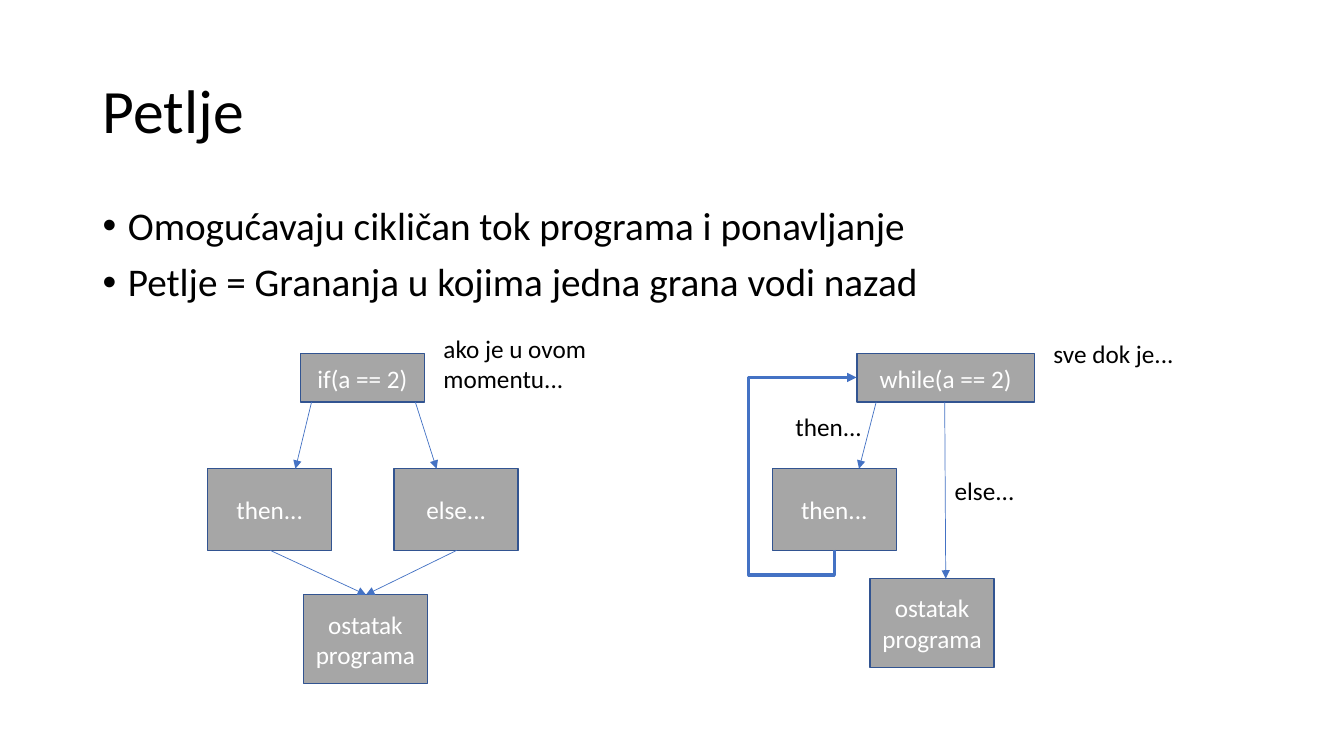
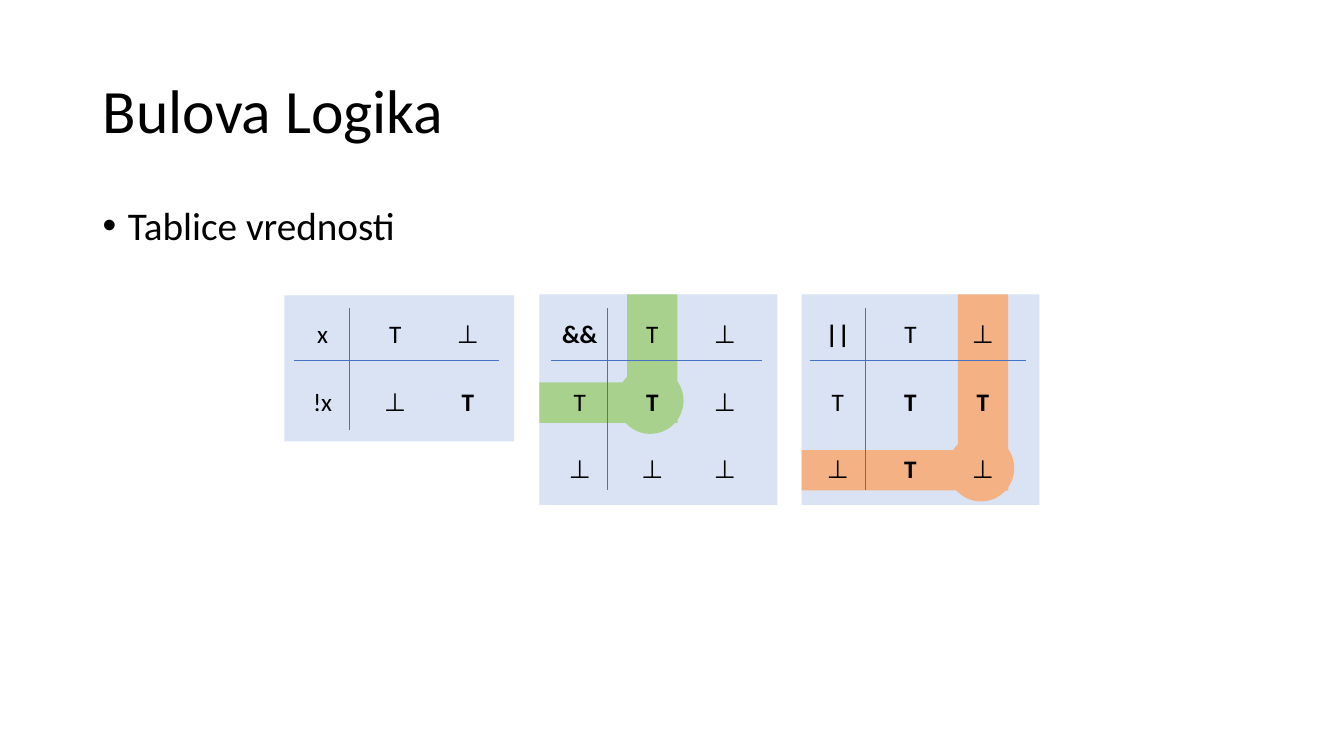
from lxml import etree
from pptx import Presentation
from pptx.dml.color import RGBColor
from pptx.enum.shapes import MSO_CONNECTOR, MSO_SHAPE
from pptx.enum.text import MSO_ANCHOR, MSO_AUTO_SIZE, PP_ALIGN
from pptx.oxml.ns import qn
from pptx.util import Inches, Pt

FONT = "Calibri"
BLACK = RGBColor(0x00, 0x00, 0x00)
WHITE = RGBColor(0xFF, 0xFF, 0xFF)
GRAY = RGBColor(0xA6, 0xA6, 0xA6)
NAVY = RGBColor(0x32, 0x54, 0x91)
BLUE = RGBColor(0x44, 0x72, 0xC4)
PALE_BLUE = RGBColor(0xDA, 0xE3, 0xF3)
GREEN = RGBColor(0xA9, 0xD1, 0x8E)
ORANGE = RGBColor(0xF4, 0xB1, 0x83)

# Flowchart box sizes
BOX_W, STEP_H, REST_H = 1.23, 0.81, 0.88
# Truth table grid
COL_W, ROW_H, GRID_TOP = 0.72, 0.67, 2.99
NO_STYLE = "{2D5ABB26-0587-4C30-8999-92F81FD0307C}"


class Deck:
    """Shared style and the slide being built."""

    def __init__(self):
        self.prs = Presentation()
        self.prs.slide_width, self.prs.slide_height = Inches(13.33), Inches(7.5)
        self.slide = None

    def new_slide(self, heading, points):
        self.slide = self.prs.slides.add_slide(self.prs.slide_layouts[5])
        title = self.slide.shapes.title
        self.place(title, 0.92, 0.4, 11.5, 1.45)
        frame = title.text_frame
        frame.text = heading
        frame.auto_size = MSO_AUTO_SIZE.NONE
        frame.vertical_anchor = MSO_ANCHOR.MIDDLE
        frame.paragraphs[0].line_spacing = 0.9
        self.style(frame, 44)
        self.bullets(points)

    @staticmethod
    def place(shape, left, top, width, height):
        shape.left, shape.top = Inches(left), Inches(top)
        shape.width, shape.height = Inches(width), Inches(height)

    @staticmethod
    def style(frame, size=18, color=BLACK, align=PP_ALIGN.LEFT, bold=False):
        for paragraph in frame.paragraphs:
            paragraph.alignment = align
            for run in paragraph.runs:
                run.font.name, run.font.size = FONT, Pt(size)
                run.font.bold = bold
                run.font.color.rgb = color

    def label(self, text, left, top, width, height=0.4, size=18):
        box = self.slide.shapes.add_textbox(
            Inches(left), Inches(top), Inches(width), Inches(height))
        frame = box.text_frame
        frame.word_wrap = True
        frame.text = text
        self.style(frame, size)
        return frame

    def bullets(self, points):
        frame = self.label("\n".join(points), 0.92, 2, 11.5, 4.76, 28)
        for paragraph in frame.paragraphs:
            paragraph.line_spacing = 0.9
            paragraph.space_before = Pt(10)
            props = paragraph._p.get_or_add_pPr()
            props.set("marL", str(Inches(0.25)))
            props.set("indent", str(Inches(-0.25)))
            etree.SubElement(props, qn("a:buFont"), typeface="Arial")
            etree.SubElement(props, qn("a:buChar"), char="•")

    def block(self, left, top, width, height, fill, kind=MSO_SHAPE.RECTANGLE):
        shape = self.slide.shapes.add_shape(
            kind, Inches(left), Inches(top), Inches(width), Inches(height))
        shape.shadow.inherit = False
        shape.fill.solid()
        shape.fill.fore_color.rgb = fill
        shape.line.fill.background()
        return shape

    def step(self, text, left, top, width=BOX_W, height=STEP_H):
        box = self.block(left, top, width, height, GRAY)
        box.line.color.rgb = NAVY
        box.line.width = Pt(1)
        frame = box.text_frame
        frame.text = text
        frame.vertical_anchor = MSO_ANCHOR.MIDDLE
        self.style(frame, color=WHITE, align=PP_ALIGN.CENTER)
        return box

    def line(self, start, end, width=0.5, arrow=False, kind=MSO_CONNECTOR.STRAIGHT):
        connector = self.slide.shapes.add_connector(
            kind, *(Inches(value) for value in (*start, *end)))
        connector.line.color.rgb = BLUE
        connector.line.width = Pt(width)
        if arrow:
            etree.SubElement(connector.line._get_or_add_ln(),
                             qn("a:tailEnd"), type="triangle")
        etree.SubElement(connector._element.spPr, qn("a:effectLst"))
        return connector

    def loop_back(self, source, target):
        """Elbow arrow from the bottom of source round to the left of target."""
        connector = self.line((8.28, 5.46), (8.5, 3.75), 2.25, True,
                              MSO_CONNECTOR.ELBOW)
        connector.begin_connect(source, 2)
        connector.end_connect(target, 1)
        self.place(connector, 7.53, 4.49, 1.71, 0.22)
        props = connector._element.spPr
        for name, value in (("rot", "5400000"), ("flipH", "1"), ("flipV", "1")):
            props.find(qn("a:xfrm")).set(name, value)
        geometry = props.find(qn("a:prstGeom"))
        geometry.set("prst", "bentConnector4")
        guides = geometry.find(qn("a:avLst"))
        for name, value in (("adj1", -14600), ("adj2", -385300)):
            etree.SubElement(guides, qn("a:gd"), name=name, fmla=f"val {value}")

    def highlight(self, panel_left, panel_top, grid_left, row, col, color):
        """Mark the row and column that meet in one cell."""
        x = grid_left + (col + 0.5) * COL_W
        y = GRID_TOP + (row + 0.5) * ROW_H
        self.block(x - 0.35, y - 0.35, 0.66, 0.66, color, MSO_SHAPE.OVAL)
        self.block(x - 0.25, panel_top, 0.5, y + 0.2 - panel_top, color)
        self.block(panel_left, y - 0.2, x + 0.25 - panel_left, 0.4, color)

    def truth_table(self, rows, left, bold_cells):
        count = len(rows)
        grid = self.slide.shapes.add_table(
            count, 3, Inches(left), Inches(GRID_TOP),
            Inches(3 * COL_W), Inches(count * ROW_H)).table
        grid.first_row = grid.horz_banding = False
        grid._tbl.tblPr.find(qn("a:tableStyleId")).text = NO_STYLE
        for column in grid.columns:
            column.width = Inches(COL_W)
        for r, values in enumerate(rows):
            grid.rows[r].height = Inches(ROW_H)
            for c, value in enumerate(values):
                cell = grid.cell(r, c)
                cell.text = value
                cell.vertical_anchor = MSO_ANCHOR.MIDDLE
                cell.margin_left = cell.margin_right = 0
                cell.margin_top = cell.margin_bottom = 0
                self.style(cell.text_frame, align=PP_ALIGN.CENTER,
                           bold=(r, c) in bold_cells)
                props = cell._tc.get_or_add_tcPr()
                for side in ("a:lnL", "a:lnR", "a:lnT", "a:lnB"):
                    edge = etree.SubElement(props, qn(side), w="0")
                    etree.SubElement(edge, qn("a:noFill"))
                cell.fill.background()


def build_loops(deck):
    deck.new_slide("Petlje", [
        "Omogućavaju cikličan tok programa i ponavljanje",
        "Petlje = Grananja u kojima jedna grana vodi nazad",
    ])

    # Branching
    deck.step("if(a == 2)", 2.98, 3.51, height=0.48)
    deck.step("then...", 2.06, 4.65)
    deck.step("else...", 3.91, 4.65)
    deck.step("ostatak programa", 3.01, 5.9, height=REST_H)

    # Loop
    condition = deck.step("while(a == 2)", 8.5, 3.51, 1.76, 0.48)
    body = deck.step("then...", 7.66, 4.65)
    deck.step("ostatak programa", 8.63, 5.74, height=REST_H)
    deck.loop_back(body, condition)

    # Flow arrows
    for start, end in [
        ((3.09, 3.99), (2.93, 4.65)),
        ((4.12, 3.99), (4.33, 4.65)),
        ((2.68, 5.46), (3.63, 5.9)),
        ((4.53, 5.46), (3.63, 5.9)),
        ((8.69, 3.99), (8.52, 4.65)),
        ((9.37, 3.99), (9.38, 5.74)),
    ]:
        deck.line(start, end, arrow=True)

    # Remarks
    deck.label("else...", 9.37, 4.67, 1.38)
    deck.label("then...", 7.79, 4.03, 1.38)
    deck.label("ako je u ovom momentu...", 4.3, 3.26, 1.82, 0.71)
    deck.label("sve dok je...", 10.35, 3.31, 1.82)


def build_boolean_logic(deck):
    deck.new_slide("Bulova Logika", ["Tablice vrednosti"])

    # Rows, bold cells, panel, grid left, ends of the rules, highlighted cell
    negation = (["xT⊥", "!x ⊥ T".split()], {(1, 2)},
                (2.82, 2.93, 2.28, 1.45), 2.84, (4.95, 4.27), None)
    conjunction = ([("&&", "T", "⊥"), "TT⊥", "⊥⊥⊥"], {(0, 0), (1, 1)},
                   (5.35, 2.92, 2.36, 2.09), 5.39, (7.56, 4.86), (1, 1, GREEN))
    disjunction = ([("||", "T", "⊥"), "TTT", "⊥T⊥"],
                   {(0, 0), (1, 1), (1, 2), (2, 1)},
                   (7.95, 2.92, 2.36, 2.09), 7.95, (10.18, 4.86), (2, 2, ORANGE))

    for rows, bold, panel, left, (right, bottom), marked in (
            negation, conjunction, disjunction):
        deck.block(*panel, PALE_BLUE)
        if marked:
            deck.highlight(*panel[:2], left, *marked)
        deck.truth_table(rows, left, bold)
        deck.line((left + 0.63, 3.06), (left + 0.63, bottom))
        deck.line((left + 0.08, 3.58), (right, 3.58))


def main():
    deck = Deck()
    build_loops(deck)
    build_boolean_logic(deck)
    deck.prs.save("out.pptx")


if __name__ == "__main__":
    main()
